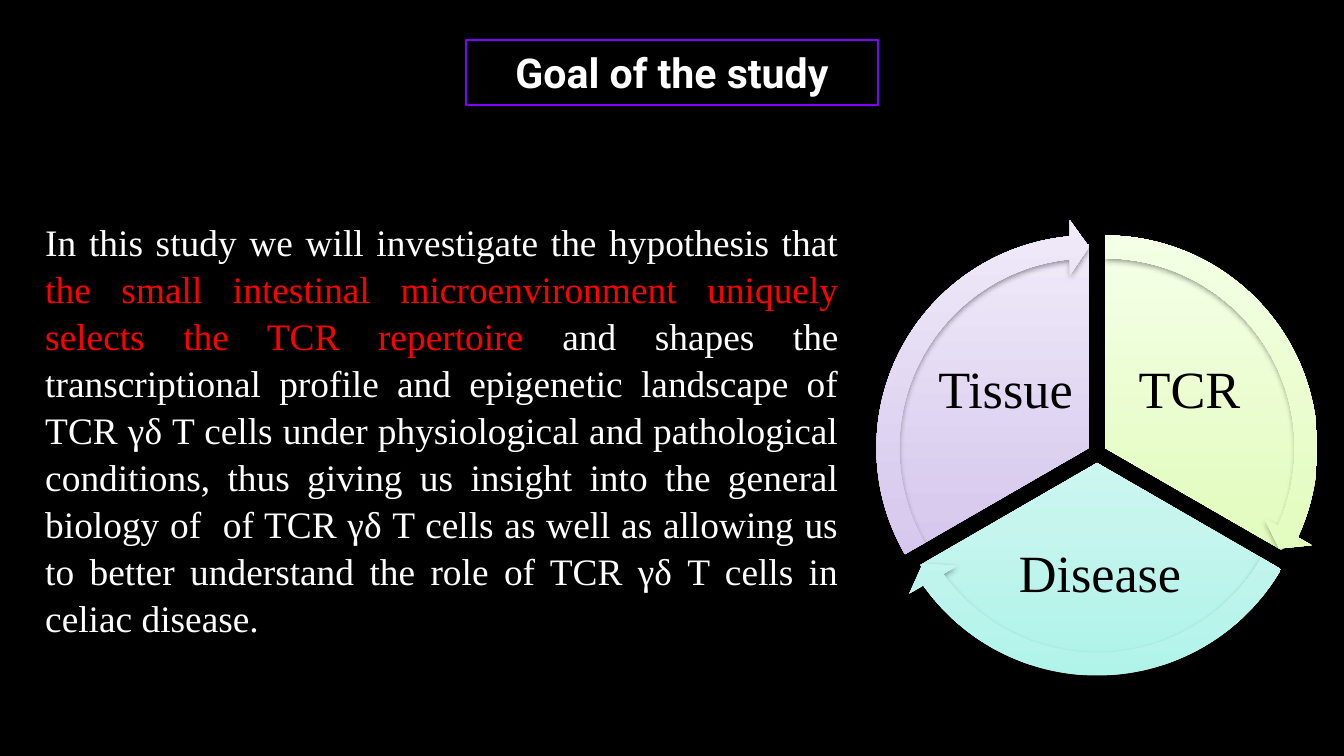
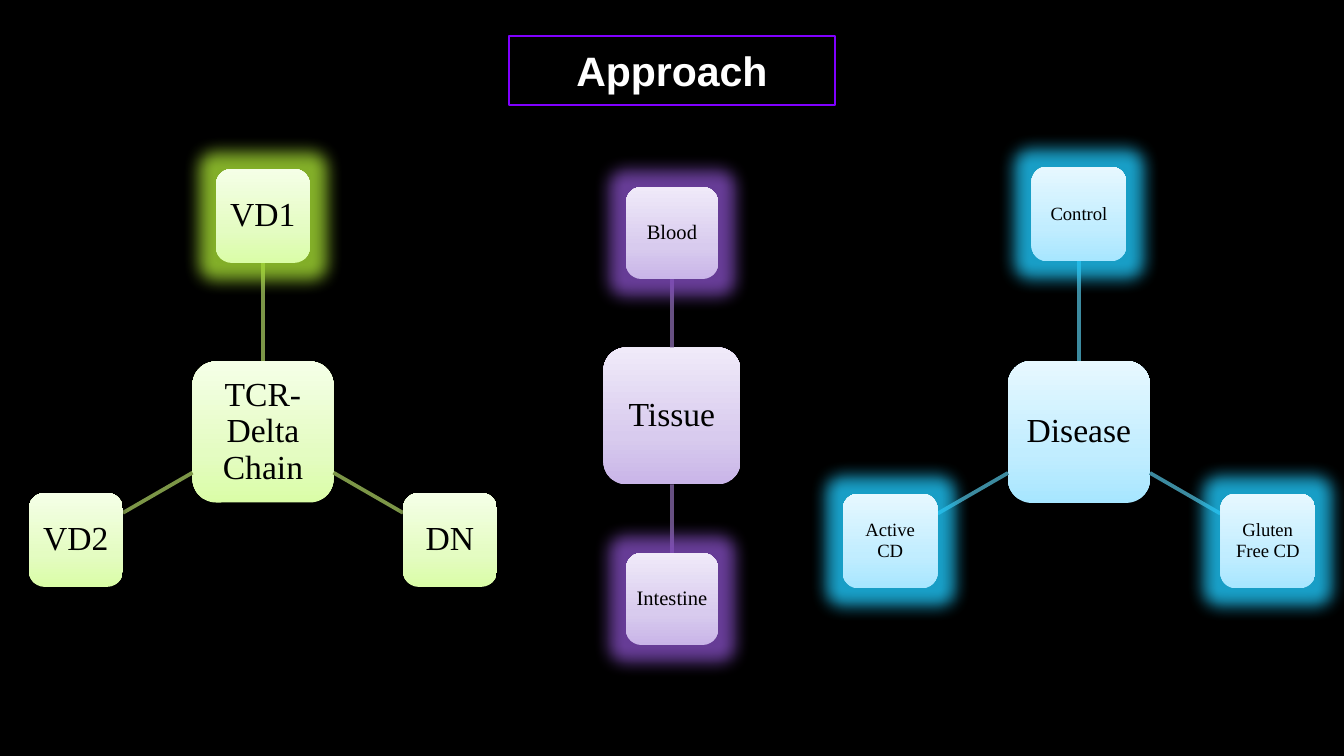
from dataclasses import dataclass
from math import cos, radians, sin

from pptx import Presentation
from pptx.dml.color import RGBColor as Rgb
from pptx.enum.shapes import MSO_CONNECTOR as Link, MSO_SHAPE as Form
from pptx.enum.text import MSO_ANCHOR as Anchor, PP_ALIGN as Align
from pptx.oxml import parse_xml
from pptx.oxml.ns import nsdecls, qn
from pptx.util import Pt


@dataclass(frozen=True)
class Tint:
    fade: tuple
    glow: str = ""
    line: str = ""


@dataclass(frozen=True)
class Theme:
    back: str = "000000"
    text: str = "FFFFFF"
    ink: str = "000000"
    mark: str = "FF0000"
    frame: str = "8000FF"
    serif: str = "Times New Roman"
    head: int = 22
    body: int = 20
    label: int = 28
    hub: int = 18
    link: int = 2


T = Theme()
LIME = Tint(("DAFDA7", "E4FCC2", "F5FFE7"), "A5DC34", "7C9647")
PLUM = Tint(("C9B5E8", "D8CBEE", "F0EAF9"), "824DBE", "675082")
AQUA = Tint(("AEF3E9", "C6F5EE", "E8FCF9"))
SKY = Tint(("A7E6FF", "C1EDFF", "E7F8FF"), "20C8FA", "3C8A9F")
STOPS = (0, 35, 100)

WIDTH, HEIGHT = 1344, 756
SCALE = 914400 / 134.4

GOAL = ("Goal of the study", "Roboto", (466, 40, 412, 65), 1)
PLAN = ("Approach", "Arial", (509, 36, 326, 69), 0.75)

AIM_BOX = (32, 210, 820, 473)
AIM = [
    ("In this study we will investigate the hypothesis that ", T.text),
    ("the small intestinal microenvironment uniquely selects the TCR repertoire", T.mark),
    (" and shapes the transcriptional profile and epigenetic landscape of "
     "TCR γδ T cells under physiological and pathological conditions, thus "
     "giving us insight into the general biology of  of TCR γδ T cells as "
     "well as allowing us to better understand the role of TCR γδ T cells "
     "in celiac disease.", T.text),
]

PIE, RING = 408, 457
CYCLE = [
    ("TCR", LIME, (1105, 448), (162, 18), (14.73, 161.99), (1117, 331, 145, 121)),
    ("Disease", AQUA, (1097, 463), (18, 90), (86.72, 18), (991, 523, 218, 106)),
    ("Tissue", PLUM, (1089, 448), (90, 162), (158.73, 90), (933, 331, 145, 121)),
]

WEBS = [
    dict(name="Tissue", tint=PLUM, mid=(672, 416), hub=137, leaf=92, arm=183,
         size=11, pad=4,
         leaves=[("Blood", -90, True), ("Intestine", 90, True)]),
    dict(name="TCR- Delta Chain", tint=LIME, mid=(263, 432), hub=141, leaf=94,
         arm=216, size=18, pad=6,
         leaves=[("VD1", -90, True), ("DN", 30, False), ("VD2", 150, False)]),
    dict(name="Disease", tint=SKY, mid=(1079, 432), hub=142, leaf=95, arm=218,
         size=10, pad=4,
         leaves=[("Control", -90, True), ("Gluten Free CD", 30, True),
                 ("Active CD", 150, True)]),
]
SITES = {-90: (0, 2), 90: (2, 0)}


def px(*vals):
    return [round(val * SCALE) for val in vals]


def rgb(code):
    return Rgb.from_string(code)


def square(mid, side):
    return mid[0] - side / 2, mid[1] - side / 2, side, side


def add_fx(item, kind, attrs, color, alpha):
    fx = item._element.spPr.find(qn("a:effectLst"))
    fx.append(parse_xml(
        f'<a:{kind} {nsdecls("a")} {attrs}><a:srgbClr val="{color}">'
        f'<a:alpha val="{alpha * 1000}"/></a:srgbClr></a:{kind}>'))


def add_form(slide, form, box, tint, turns=(), glow=False):
    item = slide.shapes.add_shape(form, *px(*box))
    for spot, turn in enumerate(turns):
        item.adjustments[spot] = turn
    item.line.fill.background()
    item.shadow.inherit = False
    stops = "".join(
        f'<a:gs pos="{stop * 1000}"><a:srgbClr val="{color}"/></a:gs>'
        for stop, color in zip(STOPS, tint.fade))
    item._element.spPr.find(qn("a:prstGeom")).addnext(parse_xml(
        f'<a:gradFill {nsdecls("a")} rotWithShape="1"><a:gsLst>{stops}</a:gsLst>'
        '<a:lin ang="16200000" scaled="0"/></a:gradFill>'))
    if glow:
        add_fx(item, "glow", 'rad="228600"', tint.glow, 80)
    else:
        add_fx(item, "outerShdw", 'blurRad="40000" dist="20000" dir="5400000" '
               'rotWithShape="0"', T.ink, 38)
    return item


def put_label(item, text, size, pad):
    frame = item.text_frame
    frame.word_wrap = True
    frame.vertical_anchor = Anchor.MIDDLE
    for side in ("left", "top", "right", "bottom"):
        setattr(frame, f"margin_{side}", px(pad)[0])
    para = frame.paragraphs[0]
    para.text = text
    para.alignment = Align.CENTER
    para.line_spacing = 0.9
    set_font(para.font, T.serif, size, T.ink)


def set_font(font, name, size, color):
    font.name = name
    font.size = Pt(size)
    font.color.rgb = rgb(color)


def add_slide(deck, text, face, box, width):
    slide = deck.slides.add_slide(deck.slide_layouts[5])
    slide.background.fill.solid()
    slide.background.fill.fore_color.rgb = rgb(T.back)
    title = slide.shapes.title
    title.left, title.top, title.width, title.height = px(*box)
    title.line.color.rgb = rgb(T.frame)
    title.line.width = Pt(width)
    title.text_frame.vertical_anchor = Anchor.MIDDLE
    para = title.text_frame.paragraphs[0]
    para.text = text
    para.alignment = Align.CENTER
    set_font(para.font, face, T.head, T.text)
    para.font.bold = True
    return slide


def add_aim(slide):
    frame = slide.shapes.add_textbox(*px(*AIM_BOX)).text_frame
    frame.word_wrap = True
    para = frame.paragraphs[0]
    para.alignment = Align.JUSTIFY
    para.line_spacing = 1.05
    set_font(para.font, T.serif, T.body, T.text)
    for text, color in AIM:
        run = para.add_run()
        run.text = text
        run.font.color.rgb = rgb(color)


def add_cycle(slide):
    for text, tint, mid, wedge, _, box in CYCLE:
        add_form(slide, Form.PIE, square(mid, PIE), tint, wedge)
        put_label(slide.shapes.add_textbox(*px(*box)), text, T.label, 5)
    for _, tint, mid, _, sweep, _ in CYCLE:
        add_form(slide, Form.CIRCULAR_ARROW, square(mid, RING), tint,
                 (0.05, 3.28, *sweep, 0.06))


def add_node(slide, mid, side, tint, text, size, pad, glow=False):
    node = add_form(slide, Form.ROUNDED_RECTANGLE, square(mid, side), tint, glow=glow)
    put_label(node, text, size, pad)
    return node


def add_web(slide, name, tint, mid, hub, leaf, arm, size, pad, leaves):
    core = add_node(slide, mid, hub, tint, name, T.hub, 6)
    for text, angle, glow in leaves:
        dx, dy = cos(radians(angle)), sin(radians(angle))
        edge = 2 * max(abs(dx), abs(dy))

        def at(dist):
            return mid[0] + dist * dx, mid[1] + dist * dy

        link = slide.shapes.add_connector(
            Link.STRAIGHT, *px(*at(hub / edge), *at(arm - leaf / edge)))
        link.line.color.rgb = rgb(tint.line)
        link.line.width = Pt(T.link)
        link._element.spPr.append(parse_xml(f'<a:effectLst {nsdecls("a")}/>'))
        node = add_node(slide, at(arm), leaf, tint, text, size, pad, glow)
        if angle in SITES:
            start, end = SITES[angle]
            link.begin_connect(core, start)
            link.end_connect(node, end)


def main():
    deck = Presentation()
    deck.slide_width, deck.slide_height = px(WIDTH, HEIGHT)
    goal = add_slide(deck, *GOAL)
    add_aim(goal)
    add_cycle(goal)
    plan = add_slide(deck, *PLAN)
    for web in WEBS:
        add_web(plan, **web)
    deck.save("out.pptx")


if __name__ == "__main__":
    main()
